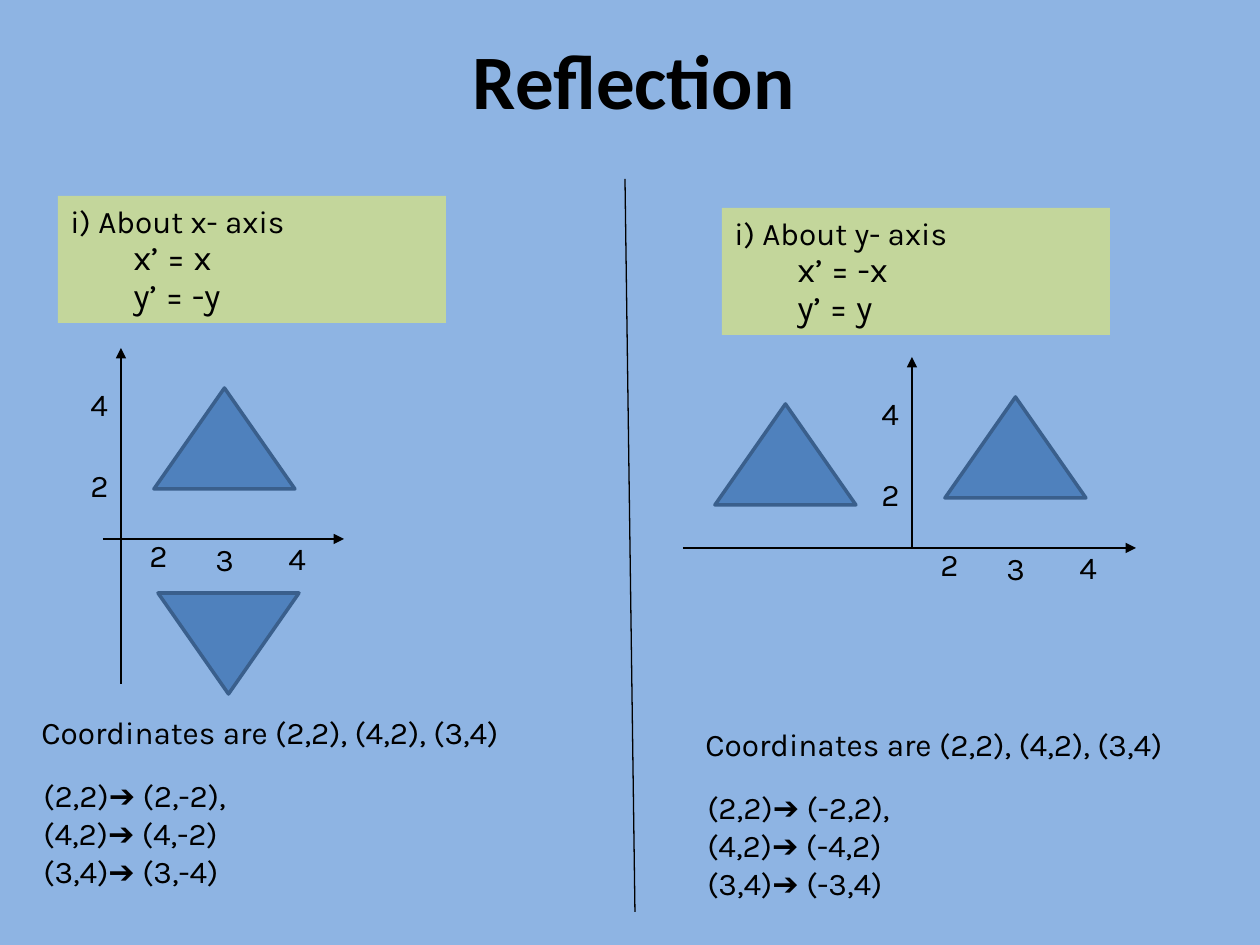
from pptx import Presentation
from pptx.dml.color import RGBColor
from pptx.enum.shapes import MSO_CONNECTOR, MSO_SHAPE
from pptx.enum.text import MSO_ANCHOR, MSO_AUTO_SIZE, PP_ALIGN
from pptx.oxml.ns import qn
from pptx.util import Emu, Pt
from lxml.etree import SubElement

EMU_PER_PIXEL = 914400 / 126


def px(length):
    return Emu(round(length * EMU_PER_PIXEL))


def color(value):
    return RGBColor.from_string(value)


class Board:
    INK = "000000"
    BACKGROUND = "8EB4E3"
    RULE_FILL = "C3D69B"
    TRIANGLE_FILL = "4F81BD"
    TRIANGLE_EDGE = "3A5F8C"
    FONT = "Karla"
    TITLE_FONT = "Calibri"

    def __init__(self, page):
        self.page = page
        page.background.fill.solid()
        page.background.fill.fore_color.rgb = color(self.BACKGROUND)

    def style(self, para, size=18, name=FONT, bold=False):
        para.font.size = Pt(size)
        para.font.name = name
        para.font.bold = bold
        para.font.color.rgb = color(self.INK)

    def title(self, text, left, top, width, height):
        box = self.page.shapes.add_textbox(px(left), px(top), px(width), px(height))
        frame = box.text_frame
        frame.word_wrap = True
        frame.vertical_anchor = MSO_ANCHOR.MIDDLE
        para = frame.paragraphs[0]
        para.text = text
        para.alignment = PP_ALIGN.CENTER
        self.style(para, 44, self.TITLE_FONT, True)

    def text(self, lines, left, top, width, height):
        box = self.page.shapes.add_textbox(px(left), px(top), px(width), px(height))
        frame = box.text_frame
        frame.word_wrap = False
        frame.auto_size = MSO_AUTO_SIZE.SHAPE_TO_FIT_TEXT
        for number, line in enumerate(lines):
            para = frame.add_paragraph() if number else frame.paragraphs[0]
            para.text = line
            self.style(para)

    def rule(self, heading, formulas, left, top):
        box = self.shape(MSO_SHAPE.RECTANGLE, left, top, 388, 127, self.RULE_FILL)
        box.line.fill.background()
        frame = box.text_frame
        frame.word_wrap = True
        frame.auto_size = MSO_AUTO_SIZE.SHAPE_TO_FIT_TEXT
        frame.vertical_anchor = MSO_ANCHOR.TOP
        frame.paragraphs[0].text = heading
        self.style(frame.paragraphs[0])
        for formula in formulas:
            para = frame.add_paragraph()
            para.text = formula
            para.level = 1
            para.line_spacing = 0.9
            self.style(para, 20)
        for para in frame.paragraphs:
            para.alignment = PP_ALIGN.LEFT

    def shape(self, kind, left, top, width, height, fill):
        shape = self.page.shapes.add_shape(kind, px(left), px(top), px(width), px(height))
        shape.shadow.inherit = False
        shape.fill.solid()
        shape.fill.fore_color.rgb = color(fill)
        return shape

    def triangle(self, left, top, rotation=0):
        shape = self.shape(MSO_SHAPE.ISOSCELES_TRIANGLE, left, top, 141, 101, self.TRIANGLE_FILL)
        shape.line.color.rgb = color(self.TRIANGLE_EDGE)
        shape.line.width = Pt(2)
        shape.rotation = rotation

    def line(self, start, end, arrow=False):
        line = self.page.shapes.add_connector(
            MSO_CONNECTOR.STRAIGHT, *(px(value) for value in (*start, *end)))
        line.line.color.rgb = color(self.INK)
        line.line.width = Pt(0.75)
        if arrow:
            SubElement(line.line._get_or_add_ln(), qn("a:tailEnd"), type="triangle")
        SubElement(line._element.spPr, qn("a:effectLst"))

    def graph(self, origin, left, right, top, bottom, mirrored, rotation):
        x, y = origin
        self.line((x, bottom), (x, top), arrow=True)
        self.line((left, y), (right, y), arrow=True)
        for label, dx, dy in TICKS:
            self.text([label], x + dx, y + dy, 43, 50)
        self.triangle(x + 33, y - 151)
        self.triangle(*mirrored, rotation)


# Tick labels as offsets from the origin of a graph
TICKS = [("2", -43, -79), ("4", -43, -160),
         ("2", 16, -9), ("3", 82, -5), ("4", 155, -6)]

# Each half: axis name, formulas, mapped points, text offset, graph
HALVES = [
    ("x", ["x’ = x", "y’ = -y"], ["(2,-2),", "(4,-2)", "(3,-4)"], (0, 0),
     dict(origin=(121, 539), left=103, right=344, top=348, bottom=684,
          mirrored=(158, 593), rotation=180)),
    ("y", ["x’ = -x", "y’ = y"], ["(-2,2),", "(-4,2)", "(-3,4)"], (664, 12),
     dict(origin=(912, 548), left=683, right=1136, top=357, bottom=548,
          mirrored=(715, 404), rotation=0)),
]
POINTS = ["(2,2)", "(4,2)", "(3,4)"]

deck = Presentation()
deck.slide_width, deck.slide_height = px(1260), px(945)
board = Board(deck.slides.add_slide(deck.slide_layouts[6]))

# Title and divider
board.title("Reflection", 67, 0, 1134, 158)
board.line((625, 179), (635, 912))

# Both reflections
for axis, formulas, images, (dx, dy), graph in HALVES:
    board.rule(f"i) About {axis}- axis", formulas, 58 + dx, 196 + dy)
    board.graph(**graph)
    board.text(["Coordinates are (2,2), (4,2), (3,4)"], 29 + dx, 707 + dy, 514, 50)
    mappings = [f"{point}➔ {image}" for point, image in zip(POINTS, images)]
    board.text(mappings, 31 + dx, 770 + dy, 238, 127)

deck.save("out.pptx")
